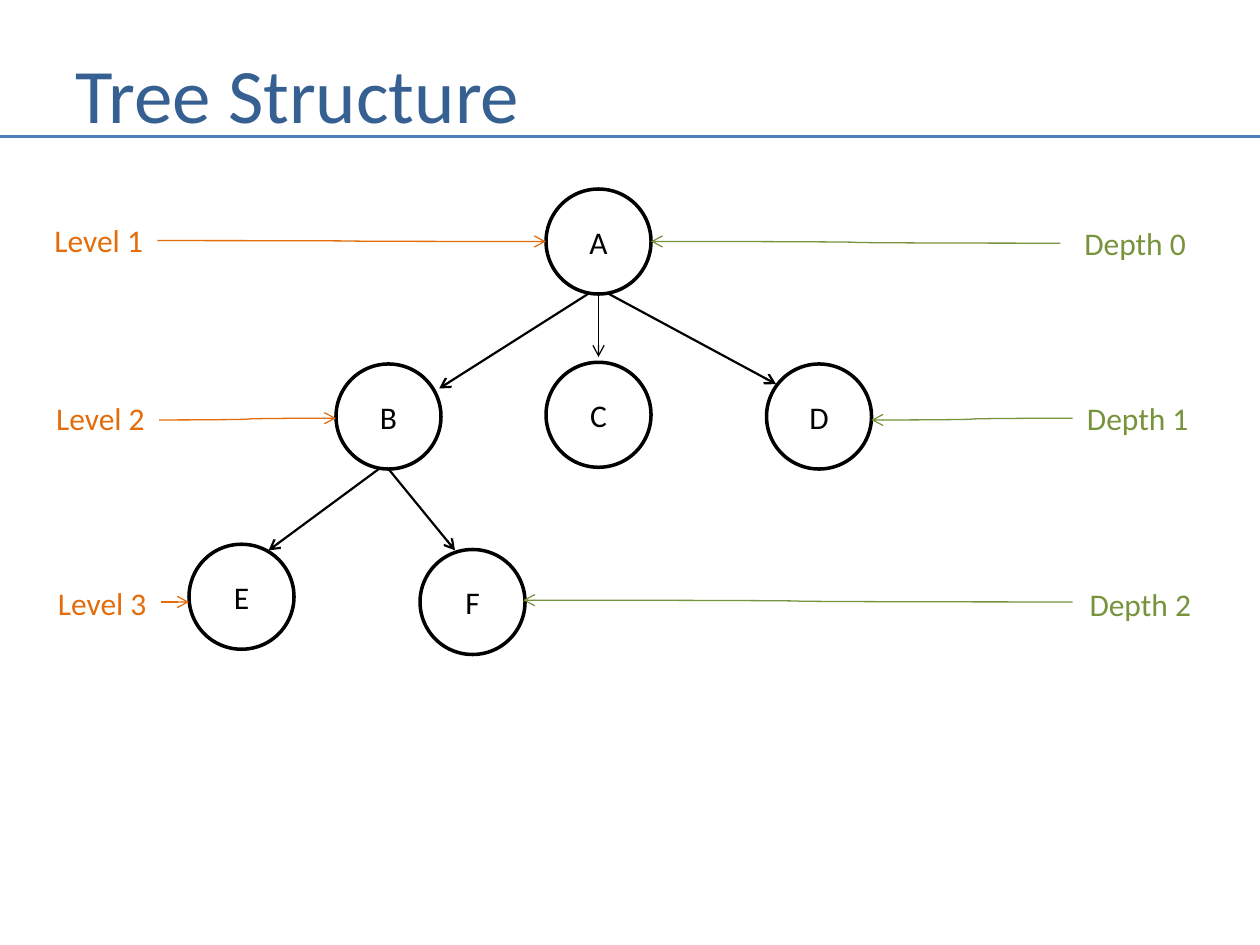
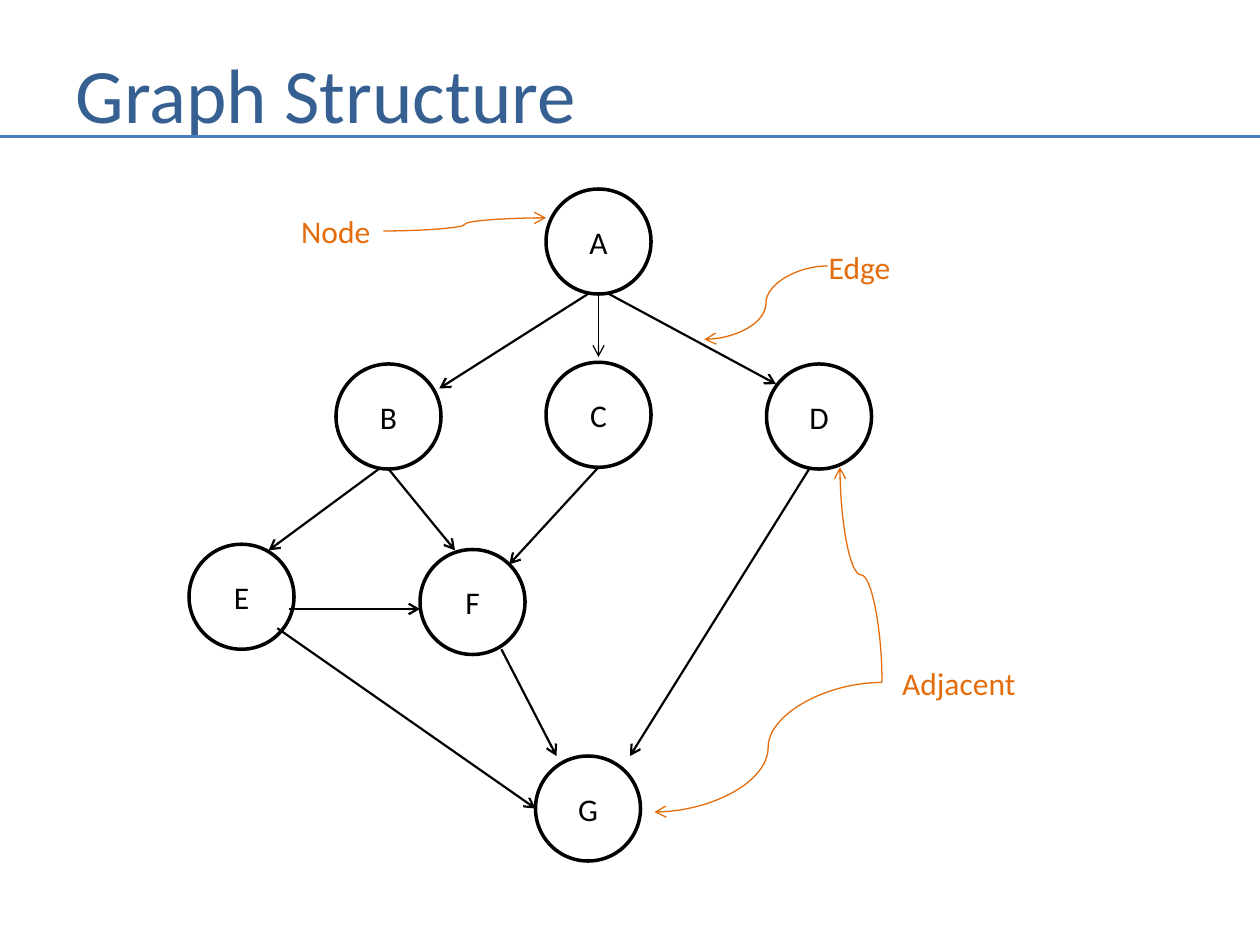
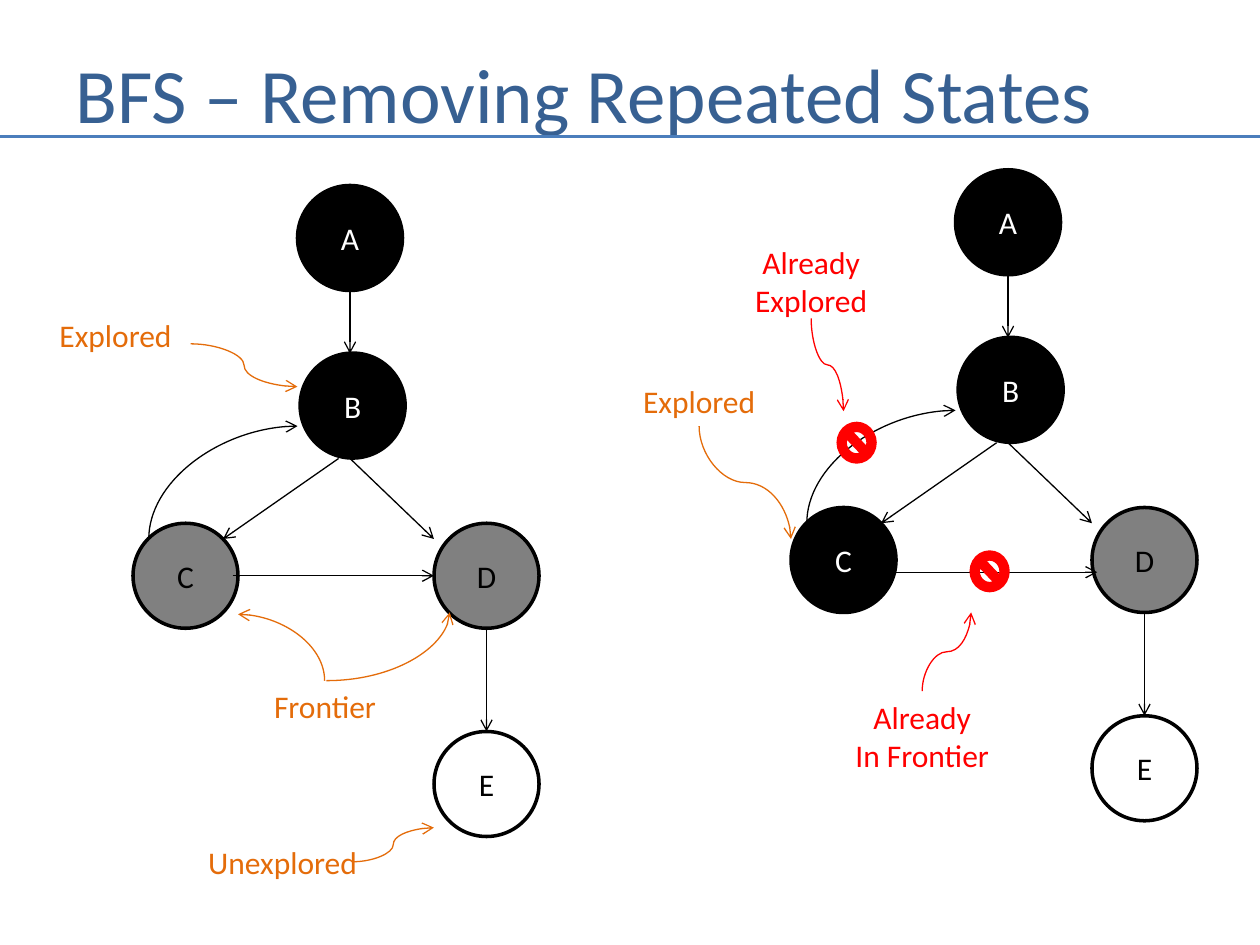
import math
import lxml.etree
import pptx
import pptx.dml.color
import pptx.enum.shapes
import pptx.enum.text
import pptx.oxml.ns
import pptx.util

Pt = pptx.util.Pt
qn = pptx.oxml.ns.qn
ShapeKind = pptx.enum.shapes.MSO_SHAPE
LineKind = pptx.enum.shapes.MSO_CONNECTOR
Align = pptx.enum.text.PP_ALIGN
Anchor = pptx.enum.text.MSO_ANCHOR


class Theme:
    font = "Calibri"
    title_size = 44
    body_size = 18
    title = "376092"
    rule = "4B7EBC"
    black = "000000"
    gray = "808080"
    white = "FFFFFF"
    orange = "E46C0A"
    green = "77933C"
    red = "FF0000"
    node_size = 60
    node_line = 2
    thin = 0.75
    thick = 1.25
    rule_line = 1.5


def write(shape, text, size, color, align):
    shape.text_frame.text = text
    for para in shape.text_frame.paragraphs:
        para.alignment = align
        for span in para.runs:
            span.font.name = Theme.font
            span.font.size = Pt(size)
            span.font.color.rgb = pptx.dml.color.RGBColor.from_string(color)


def draw_line(page, start, end, color, width, route="straight", arrow=True):
    (x1, y1), (x2, y2) = start, end
    dx, dy = x2 - x1, y2 - y1
    leaves_upright = route in ("down", "down once")
    if leaves_upright:
        middle_x, middle_y = (x1 + x2) / 2, (y1 + y2) / 2
        half_width = math.copysign(dy / 2, dx)
        half_height = math.copysign(dx / 2, -dy)
        x1, x2 = middle_x + half_width, middle_x - half_width
        y1, y2 = middle_y + half_height, middle_y - half_height
    kind = LineKind.STRAIGHT if route == "straight" else LineKind.CURVE
    line = page.shapes.add_connector(kind, Pt(x1), Pt(y1), Pt(x2), Pt(y2))
    line.line.width = Pt(width)
    line.line.color.rgb = pptx.dml.color.RGBColor.from_string(color)
    properties = line._element.spPr
    if leaves_upright:
        turn = 90 if (dx > 0) == (dy < 0) else 270
        properties.find(qn("a:xfrm")).set("rot", str(turn * 60000))
    if route.endswith("once"):
        properties.find(qn("a:prstGeom")).set("prst", "curvedConnector2")
    if arrow:
        head = lxml.etree.SubElement(properties.find(qn("a:ln")), qn("a:tailEnd"))
        head.set("type", "arrow")
    lxml.etree.SubElement(properties, qn("a:effectLst"))


tree_nodes = [
    ("A", 312, 108, None), ("B", 192, 208, None), ("C", 312, 207, None),
    ("D", 438, 208, None), ("E", 108, 311, None), ("F", 240, 314, None),
]
tree_edges = [
    ((336, 168), (251, 222), Theme.thick),
    ((342, 168), (342, 204), Theme.thin),
    ((348, 168), (443.5, 219.5), Theme.thick),
    ((216.5, 268), (153.5, 314.5), Theme.thick),
    ((222, 268), (260, 314.5), Theme.thick),
]
graph_edges = [
    ((165, 348), (240, 348), Theme.thick),
    ((158.5, 359), (306, 462), Theme.thick),
    ((286.5, 371), (318, 432), Theme.thick),
    ((342, 267), (291, 322.5), Theme.thick),
    ((463, 267), (360, 432), Theme.thick),
]

search_nodes = []
search_edges = [
    ((133, 329), (248, 329), Theme.thin),
    ((512, 327), (627, 327), Theme.thin),
]
back_edges = []
for right, down, fill_c in ((0, 0, Theme.gray), (376, -9, Theme.black)):
    for letter, x, y, fill in (
        ("A", 170, 106, Theme.black), ("B", 171.5, 201.75, Theme.black),
        ("C", 76, 299, fill_c), ("D", 248, 299, Theme.gray),
        ("E", 248, 418, Theme.white),
    ):
        search_nodes.append((letter, x + right, y + down, fill))
    for x1, y1, x2, y2 in (
        (200, 166, 200, 202), (193.5, 262, 127.5, 308),
        (200, 262, 248, 308), (278, 359, 278, 418),
    ):
        search_edges.append(((x1 + right, y1 + down), (x2 + right, y2 + down), Theme.thin))
    back_edges.append(
        ((85 + right, 308 + down), (170 + right, 243.5 + down), Theme.black, "down once"))

slides = [
    {
        "title": "Tree Structure",
        "nodes": tree_nodes,
        "edges": tree_edges,
        "labels": [
            ("Level 1", 24, 123, 66, Theme.orange),
            ("Level 2", 25, 224.5, 66, Theme.orange),
            ("Level 3", 26, 330, 66, Theme.orange),
            ("Depth 0", 612.5, 124.5, 73.5, Theme.green),
            ("Depth 1", 614, 224.5, 73.5, Theme.green),
            ("Depth 2", 615.5, 330.5, 73.5, Theme.green),
        ],
        "curves": [
            ((90, 137.5), (312, 138), Theme.orange, "across"),
            ((91, 240), (192, 239), Theme.orange, "across"),
            ((92, 344), (108, 344), Theme.orange, "across"),
            ((606, 139), (372, 138), Theme.green, "across"),
            ((613, 239), (498, 240), Theme.green, "across"),
            ((613, 344), (299, 343), Theme.green, "across"),
        ],
        "align": Align.LEFT,
        "barriers": [],
    },
    {
        "title": "Graph Structure",
        "nodes": tree_nodes + [("G", 306, 432, None)],
        "edges": tree_edges + graph_edges,
        "labels": [
            ("Node", 165, 117.5, 54.5, Theme.orange),
            ("Edge", 466.5, 138, 50.5, Theme.orange),
            ("Adjacent", 508.5, 376, 80, Theme.orange),
        ],
        "curves": [
            ((219, 132), (312, 124.5), Theme.orange, "across"),
            ((473, 152), (402.5, 194), Theme.orange, "across"),
            ((504, 390), (374, 464), Theme.orange, "across"),
            ((504, 390), (480, 267), Theme.orange, "down"),
        ],
        "align": Align.LEFT,
        "barriers": [],
    },
    {
        "title": "BFS – Removing Repeated States",
        "nodes": search_nodes,
        "edges": search_edges,
        "labels": [
            ("Explored", 26.5, 177, 79, Theme.orange),
            ("Frontier", 149, 389, 73.5, Theme.orange),
            ("Unexplored", 111, 478, 101, Theme.orange),
            ("Explored", 360, 214.5, 79, Theme.orange),
            ("Already\nExplored", 424, 135.5, 79, Theme.red),
            ("Already\nIn Frontier", 481, 395.5, 92, Theme.red),
        ],
        "curves": back_edges + [
            ((109, 196.5), (170, 221), Theme.orange, "across"),
            ((185.5, 389), (136, 351), Theme.orange, "down once"),
            ((186.5, 389), (257, 350), Theme.orange, "across once"),
            ((201.5, 492.5), (248, 473), Theme.orange, "across"),
            ((399.5, 243.5), (452, 308), Theme.orange, "down"),
            ((463.5, 182), (482, 235), Theme.red, "down"),
            ((527, 395), (555, 350), Theme.red, "down"),
        ],
        "align": Align.CENTER,
        "barriers": [(479, 242), (555, 315.5)],
    },
]

deck = pptx.Presentation()
deck.slide_width = Pt(720)
deck.slide_height = Pt(540)

for content in slides:
    page = deck.slides.add_slide(deck.slide_layouts[5])
    title = page.shapes.title
    title.left, title.top, title.width, title.height = Pt(36), Pt(21.5), Pt(654), Pt(62.5)
    write(title, content["title"], Theme.title_size, Theme.title, Align.LEFT)
    title.text_frame.vertical_anchor = Anchor.MIDDLE
    draw_line(page, (0, 78), (720, 78), Theme.rule, Theme.rule_line, arrow=False)

    for letter, x, y, fill in content["nodes"]:
        node = page.shapes.add_shape(
            ShapeKind.OVAL, Pt(x), Pt(y), Pt(Theme.node_size), Pt(Theme.node_size))
        node.shadow.inherit = False
        if fill:
            node.fill.solid()
            node.fill.fore_color.rgb = pptx.dml.color.RGBColor.from_string(fill)
        else:
            node.fill.background()
        node.line.width = Pt(Theme.node_line)
        node.line.color.rgb = pptx.dml.color.RGBColor.from_string(Theme.black)
        ink = Theme.white if fill == Theme.black else Theme.black
        write(node, letter, Theme.body_size, ink, Align.CENTER)
        node.text_frame.vertical_anchor = Anchor.MIDDLE

    for start, end, width in content["edges"]:
        draw_line(page, start, end, Theme.black, width)

    for start, end, color, route in content["curves"]:
        draw_line(page, start, end, color, Theme.thin, route)

    for text, x, y, width, color in content["labels"]:
        height = 29 + 22 * text.count("\n")
        box = page.shapes.add_textbox(Pt(x), Pt(y), Pt(width), Pt(height))
        box.text_frame.word_wrap = False
        box.text_frame.auto_size = pptx.enum.text.MSO_AUTO_SIZE.SHAPE_TO_FIT_TEXT
        write(box, text, Theme.body_size, color, content["align"])

    for x, y in content["barriers"]:
        barrier = page.shapes.add_shape(ShapeKind.NO_SYMBOL, Pt(x), Pt(y), Pt(21), Pt(22))
        barrier.shadow.inherit = False
        barrier.fill.solid()
        barrier.fill.fore_color.rgb = pptx.dml.color.RGBColor.from_string(Theme.red)
        barrier.line.width = Pt(Theme.node_line)
        barrier.line.color.rgb = pptx.dml.color.RGBColor.from_string(Theme.red)

deck.save("out.pptx")
